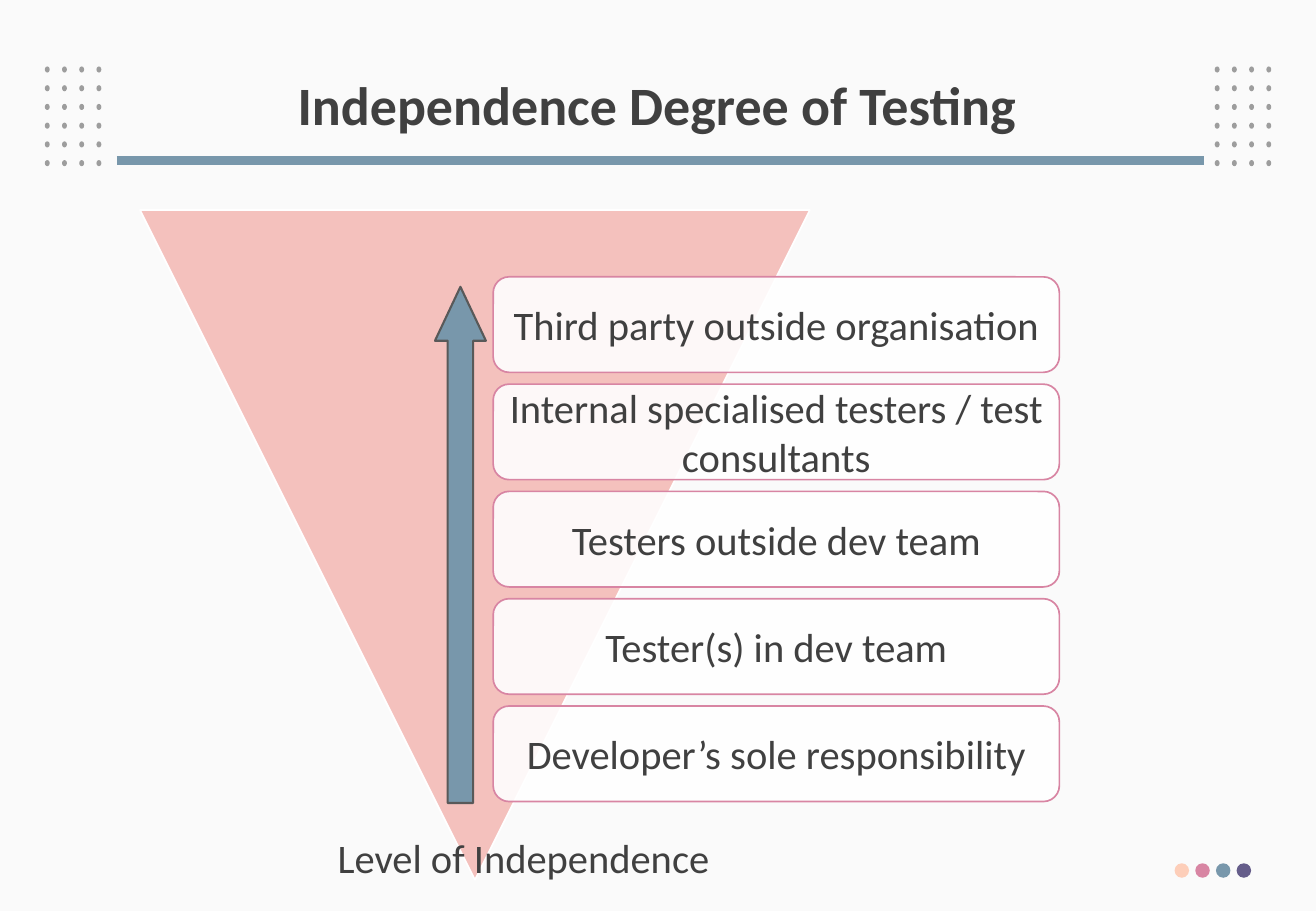
from pptx import Presentation
from pptx.dml.color import RGBColor
from pptx.enum.shapes import MSO_CONNECTOR, MSO_SHAPE
from pptx.enum.text import MSO_ANCHOR, PP_ALIGN
from pptx.oxml.ns import qn
from pptx.util import Pt
from lxml import etree

OVAL = MSO_SHAPE.OVAL
TRIANGLE = MSO_SHAPE.ISOSCELES_TRIANGLE
ROUNDED = MSO_SHAPE.ROUNDED_RECTANGLE
UP_ARROW = MSO_SHAPE.UP_ARROW
STRAIGHT = MSO_CONNECTOR.STRAIGHT
LEFT, CENTER = PP_ALIGN.LEFT, PP_ALIGN.CENTER
TOP, MIDDLE = MSO_ANCHOR.TOP, MSO_ANCHOR.MIDDLE

FONT = "Calibri"
TEXT, BLUE, PINK = "404040", "7897AB", "D885A3"
LEVELS = [
    "Third party outside organisation",
    "Internal specialised testers / test consultants",
    "Testers outside dev team",
    "Tester(s) in dev team",
    "Developer’s sole responsibility",
]


def color(value):
    return RGBColor.from_string(value)


def write(s, text, size=24, bold=False, align=CENTER, anchor=MIDDLE,
          inset=7.2, wrap=True, spacing=None):
    tf = s.text_frame
    tf.word_wrap = wrap
    tf.vertical_anchor = anchor
    tf.margin_left = tf.margin_right = Pt(inset)
    tf.margin_top = tf.margin_bottom = Pt(3.6)
    p = tf.paragraphs[0]
    p.alignment = align
    p.line_spacing = spacing
    r = p.add_run()
    r.text = text
    r.font.name, r.font.size, r.font.bold = FONT, Pt(size), bold
    r.font.color.rgb = color(TEXT)


def add_text(sp, x, y, w, h, text, **fmt):
    write(sp.add_textbox(Pt(x), Pt(y), Pt(w), Pt(h)), text, **fmt)


def add_shape(sp, kind, x, y, w, h, fill, line=None, width=1, alpha=None):
    s = sp.add_shape(kind, Pt(x), Pt(y), Pt(w), Pt(h))
    s.shadow.inherit = False
    s.fill.solid()
    s.fill.fore_color.rgb = color(fill)
    if alpha:
        clr = s.fill._xPr.find(qn("a:solidFill"))[0]
        etree.SubElement(clr, qn("a:alpha")).set("val", str(alpha * 1000))
    if line:
        s.line.color.rgb = color(line)
        s.line.width = Pt(width)
    else:
        s.line.fill.background()
    return s


def add_line(sp, x1, y1, x2, y2, stroke, width):
    s = sp.add_connector(STRAIGHT, Pt(x1), Pt(y1), Pt(x2), Pt(y2))
    s.line.color.rgb = color(stroke)
    s.line.width = Pt(width)
    etree.SubElement(s._element.spPr, qn("a:effectLst"))


def add_dot_grid(sp, left, top, cols=4, rows=6):
    for row in range(rows):
        for col in range(cols):
            add_shape(sp, OVAL, left + col * 10.2, top + row * 11.1,
                      2.9, 3.6, "9D9D9D")


def main():
    prs = Presentation()
    prs.slide_width, prs.slide_height = Pt(780), Pt(540)
    slide = prs.slides.add_slide(prs.slide_layouts[6])
    slide.background.fill.solid()
    slide.background.fill.fore_color.rgb = color("FAFAFA")
    sp = slide.shapes

    # Header with dot grids and rule
    for left in (26.6, 720):
        add_dot_grid(sp, left, 39.4)
    add_line(sp, 69.3, 95, 713.5, 95, BLUE, 5.25)
    add_text(sp, 53.3, 28.8, 672.5, 70.6, "Independence Degree of Testing",
             size=32, bold=True, spacing=0.9)

    # Footer dots
    for i, fill in enumerate(("FDCEB9", PINK, BLUE, "655D8A")):
        add_shape(sp, OVAL, 696.2 + i * 12.25, 511.7, 8.6, 8.6, fill)

    # Inverted triangle and levels
    s = add_shape(sp, TRIANGLE, 83, 124.5, 397, 397, "F4C1BD", "FFFFFF")
    s.rotation = 180
    for i, level in enumerate(LEVELS):
        s = add_shape(sp, ROUNDED, 292.3, 164.1 + i * 63.6, 335.6, 56.6,
                      "FFFFFF", PINK, alpha=90)
        write(s, level, inset=4.4)

    # Independence arrow and its label
    s = add_shape(sp, UP_ARROW, 257.8, 170, 30.2, 306, BLUE, "595959", 1.25)
    s.adjustments[0], s.adjustments[1] = 0.5, 1.06
    add_text(sp, 193, 490.3, 237.6, 36, "Level of Independence",
             align=LEFT, anchor=TOP, wrap=False)

    prs.save("out.pptx")


if __name__ == "__main__":
    main()
